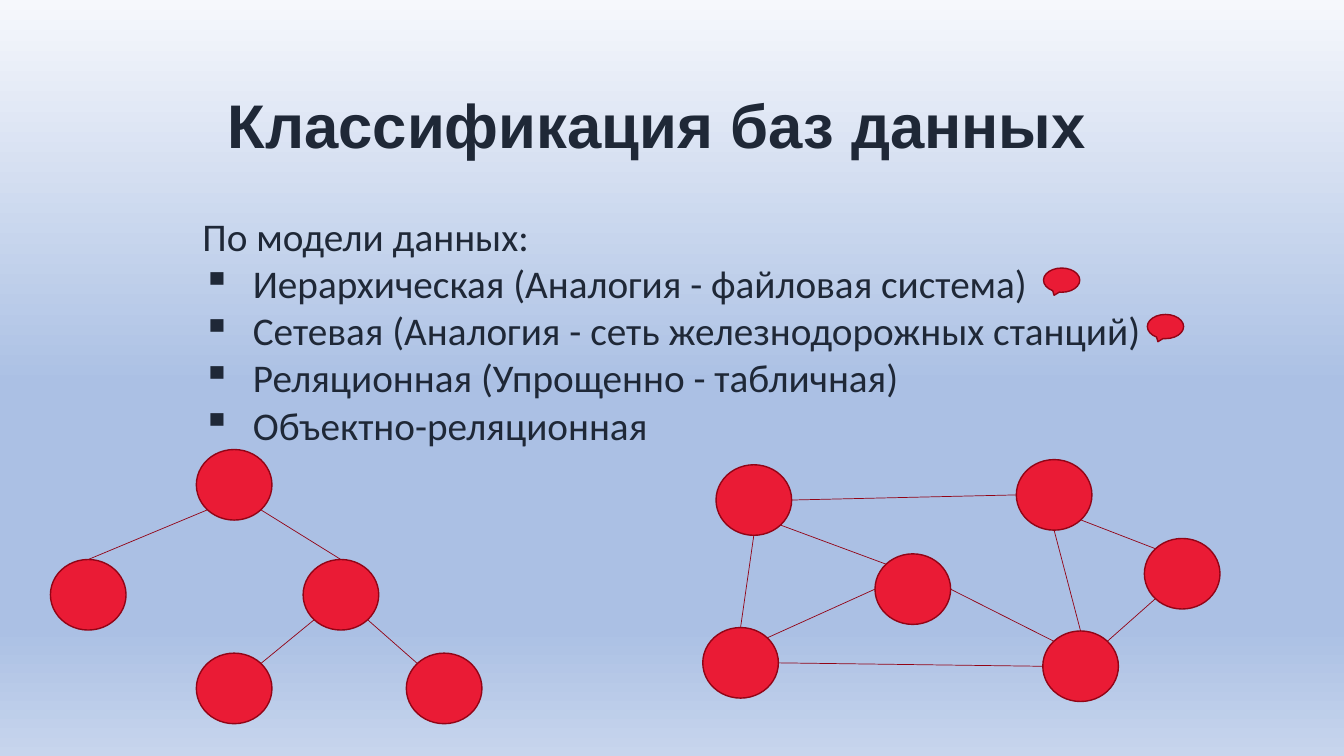
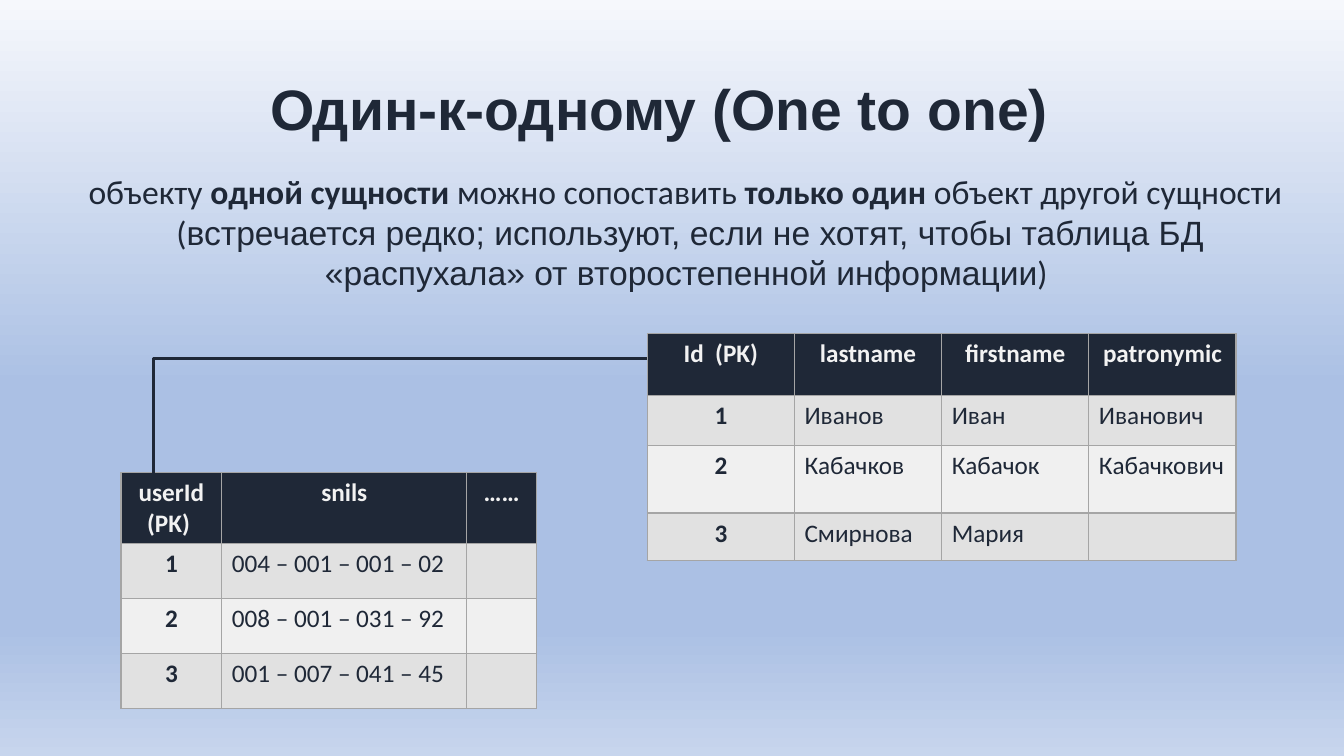
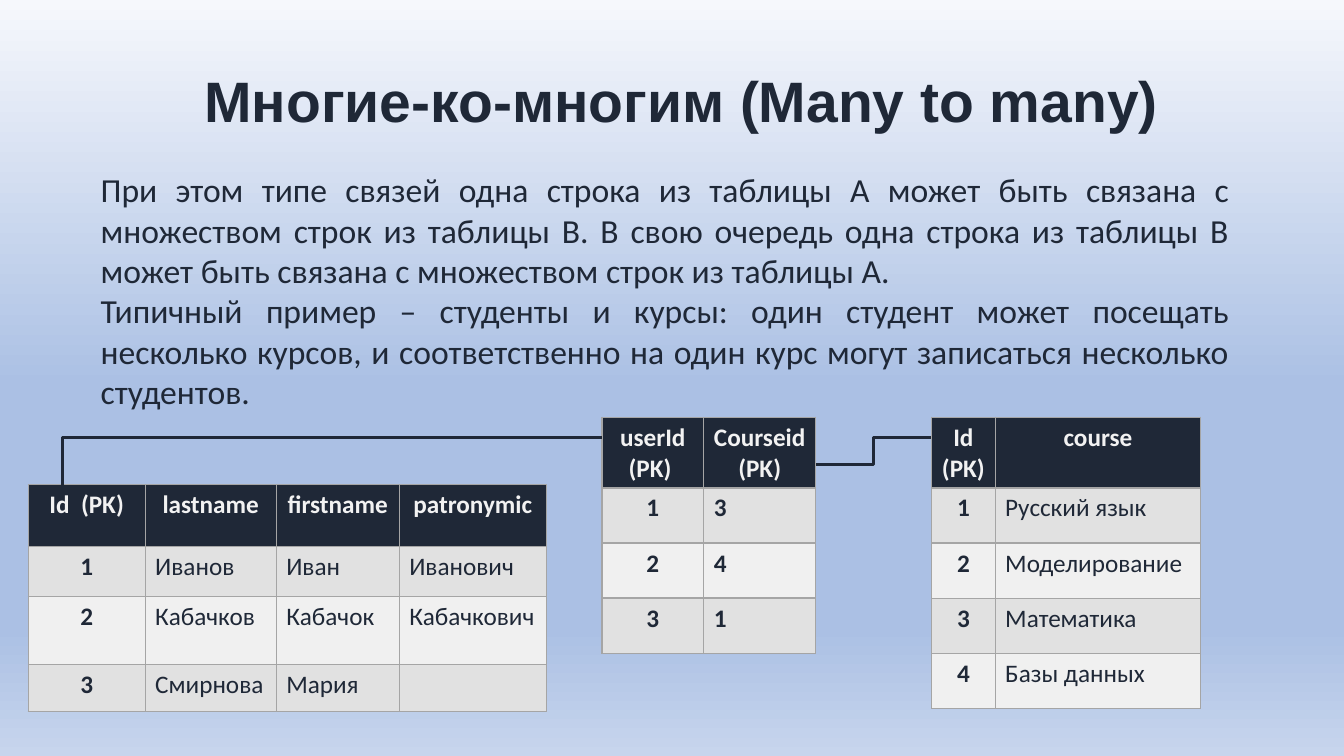
from lxml import etree
from pptx import Presentation
from pptx.dml.color import RGBColor
from pptx.enum.shapes import MSO_CONNECTOR, MSO_SHAPE
from pptx.enum.text import MSO_ANCHOR, PP_ALIGN
from pptx.oxml.ns import qn
from pptx.util import Inches, Pt

STRAIGHT, ELBOW = MSO_CONNECTOR.STRAIGHT, MSO_CONNECTOR.ELBOW
NODE, CALLOUT = MSO_SHAPE.FLOWCHART_CONNECTOR, MSO_SHAPE.OVAL_CALLOUT
CENTER, JUSTIFY, LEFT = PP_ALIGN.CENTER, PP_ALIGN.JUSTIFY, PP_ALIGN.LEFT
MIDDLE, TOP = MSO_ANCHOR.MIDDLE, MSO_ANCHOR.TOP

SLIDE_W, SLIDE_H = 13.33, 7.5
DARK, LIGHT, GRID = "1F2837", "F2F2F2", "A5A5A5"
BANDS = ("E1E1E1", "F0F0F0")
RED, DARK_RED = "EA1B35", "920416"
BACKGROUND = ((0, "F6F8FC"), (51, "ABC0E4"), (83, "ABC0E4"), (100, "C7D5ED"))
HEAD_FONT, BODY_FONT = "Arial", "Calibri"

NODE_W, NODE_H = 0.75, 0.7
DIAGONAL = 0.71
SITES = {"N": (0, -1), "S": (0, 1), "W": (-1, 0), "E": (1, 0)}
SITES.update({v + h: (SITES[h][0] * DIAGONAL, SITES[v][1] * DIAGONAL)
              for v in "NS" for h in "WE"})

PEOPLE = [["Id  (PK)", "lastname", "firstname", "patronymic"],
          ["1", "Иванов", "Иван", "Иванович"],
          ["2", "Кабачков", "Кабачок", "Кабачкович"],
          ["3", "Смирнова", "Мария", ""]]
PEOPLE_ROWS = [0.61, 0.5, 0.67, 0.47]
SNILS = [["userId (PK) ", "snils", "……"],
         ["1", "004 – 001 – 001 – 02", ""],
         ["2", "008 – 001 – 031 – 92", ""],
         ["3", "001 – 007 – 041 – 45", ""]]
ENROLMENT = [["userId (PK) ", "Courseid (PK)"], ["1", "3"], ["2", "4"], ["3", "1"]]
COURSES = [["Id (PK) ", "course"], ["1", "Русский язык"], ["2", "Моделирование"],
           ["3", "Математика"], ["4", "Базы данных"]]


def rgb(value):
    return RGBColor.from_string(value)


def sub(parent, tag, **attrs):
    return etree.SubElement(parent, qn(tag), attrs)


def set_background(master):
    """Fill the master with the vertical gradient every slide inherits."""
    master.background.fill.gradient()
    grad = master.element.find(".//" + qn("a:gradFill"))
    for child in list(grad):
        grad.remove(child)
    stops = sub(grad, "a:gsLst")
    for share, color in BACKGROUND:
        stop = sub(stops, "a:gs", pos=str(share * 1000))
        sub(stop, "a:srgbClr", val=color)
    sub(grad, "a:lin", ang="5400000", scaled="0")


def add_run(p, text, size, color=DARK, bold=False, font=BODY_FONT):
    r = p.add_run()
    r.text = text
    r.font.size, r.font.bold, r.font.name = Pt(size), bold, font
    r.font.color.rgb = rgb(color)


def add_bullet(p):
    pPr = p._p.get_or_add_pPr()
    pPr.set("marL", str(Inches(0.5)))
    pPr.set("indent", str(-Inches(0.5)))
    sub(pPr, "a:buChar", char="▪")


def add_text(s, box, paragraphs, size, anchor=TOP, spacing=None):
    """Each paragraph is (alignment, bulleted, [(text, bold, font), ...])."""
    tf = s.shapes.add_textbox(*map(Inches, box)).text_frame
    tf.word_wrap, tf.vertical_anchor = True, anchor
    for i, (align, bulleted, runs) in enumerate(paragraphs):
        p = tf.add_paragraph() if i else tf.paragraphs[0]
        p.alignment = align
        if spacing:
            p.line_spacing = spacing
        if bulleted:
            add_bullet(p)
        for text, bold, font in runs:
            add_run(p, text, size, bold=bold, font=font)


def plain(text, bulleted=False):
    return JUSTIFY, bulleted, [(text, False, BODY_FONT)]


def add_title(s, box, text, size=40.7):
    add_text(s, box, [(LEFT, False, [(text, True, HEAD_FONT)])], size, MIDDLE, 0.9)


def add_red_shape(shapes, kind, x, y, w, h):
    sp = shapes.add_shape(kind, *map(Inches, (x, y, w, h)))
    sp.shadow.inherit = False
    sp.fill.solid()
    sp.fill.fore_color.rgb = rgb(RED)
    sp.line.color.rgb = rgb(DARK_RED)
    sp.line.width = Pt(1)


def add_line(shapes, kind, start, end, color, width):
    line = shapes.add_connector(kind, *map(Inches, (*start, *end)))
    line.line.color.rgb = rgb(color)
    line.line.width = Pt(width)
    sub(line._element.spPr, "a:effectLst")
    return line


def add_relation(s, start, end, bend):
    """Elbow line that turns at the given share of its width."""
    line = add_line(s.shapes, ELBOW, start, end, DARK, 2.25)
    geom = line._element.spPr.find(qn("a:prstGeom"))
    guides = geom.find(qn("a:avLst"))
    if guides is None:
        guides = sub(geom, "a:avLst")
    sub(guides, "a:gd", name="adj1", fmla=f"val {round(bend * 100000)}")


def add_graph(s, box, nodes, edges):
    """Nodes are shares of the room in the box; edges join compass sites."""
    x, y, w, h = box
    shapes = s.shapes.add_group_shape().shapes
    places = {name: (x + fx * (w - NODE_W), y + fy * (h - NODE_H))
              for name, (fx, fy) in nodes.items()}

    def site(name, side):
        left, top = places[name]
        dx, dy = SITES[side]
        return left + NODE_W * (1 + dx) / 2, top + NODE_H * (1 + dy) / 2

    for left, top in places.values():
        add_red_shape(shapes, NODE, left, top, NODE_W, NODE_H)
    for a, a_side, b, b_side in edges:
        add_line(shapes, STRAIGHT, site(a, a_side), site(b, b_side), DARK_RED, 0.5)


def set_borders(cell):
    tcPr = cell._tc.get_or_add_tcPr()
    for i, tag in enumerate(("a:lnL", "a:lnR", "a:lnT", "a:lnB")):
        ln = etree.Element(qn(tag), w=str(Pt(1)))
        sub(sub(ln, "a:solidFill"), "a:srgbClr", val=GRID)
        tcPr.insert(i, ln)


def even_rows(height, count, header=0.69):
    return [header] + [(height - header) / (count - 1)] * (count - 1)


def add_data_table(s, x, y, cols, rows, data, all_bold=False):
    table = s.shapes.add_table(len(rows), len(cols), Inches(x), Inches(y),
                               Inches(sum(cols)), Inches(sum(rows))).table
    for column, width in zip(table.columns, cols):
        column.width = Inches(width)
    for row, height in zip(table.rows, rows):
        row.height = Inches(height)
    for i, values in enumerate(data):
        for j, text in enumerate(values):
            cell = table.cell(i, j)
            cell.fill.solid()
            cell.fill.fore_color.rgb = rgb(BANDS[(i - 1) % 2] if i else DARK)
            set_borders(cell)
            p = cell.text_frame.paragraphs[0]
            key = i == 0 or j == 0
            p.alignment = CENTER if key else LEFT
            if text:
                add_run(p, text, 18, DARK if i else LIGHT, key or all_bold)


def classification_slide(s):
    add_title(s, (2.16, 0.74, 9.01, 1.07), "Классификация баз данных", 44)
    models = ["Иерархическая (Аналогия - файловая система)",
              "Сетевая (Аналогия - сеть железнодорожных станций)",
              "Реляционная (Упрощенно - табличная)",
              "Объектно-реляционная"]
    add_text(s, (1.91, 2.06, 9.92, 3.4),
             [plain("По модели данных:")] + [plain(m, True) for m in models], 28)
    for x, y in ((10.35, 2.66), (11.38, 3.12)):
        add_red_shape(s.shapes, CALLOUT, x, y, 0.36, 0.24)
    add_graph(s, (0.5, 4.46, 4.28, 2.72),
              {"root": (0.41, 0), "left": (0, 0.54), "right": (0.71, 0.54),
               "leaf 1": (0.41, 1), "leaf 2": (1, 1)},
              [("root", "SW", "left", "N"), ("root", "SE", "right", "N"),
               ("right", "SW", "leaf 1", "NE"), ("right", "SE", "leaf 2", "NW")])
    add_graph(s, (6.97, 4.56, 5.13, 2.4),
              {"hub": (0.39, 0.55), "top left": (0.03, 0.03),
               "low left": (0, 0.98), "top right": (0.71, 0),
               "low right": (0.77, 1), "far right": (1, 0.46)},
              [("top right", "SE", "far right", "NW"),
               ("top left", "E", "top right", "W"),
               ("top left", "SE", "hub", "NW"),
               ("top left", "S", "low left", "N"),
               ("hub", "E", "low right", "NW"),
               ("far right", "SW", "low right", "NE"),
               ("low left", "E", "low right", "W"),
               ("top right", "S", "low right", "N"),
               ("low left", "NE", "hub", "W")])


def one_to_one_slide(s):
    add_title(s, (2.58, 0.58, 8.16, 1.07), "Один-к-одному (One to one)")
    rule = [("объекту ", False, BODY_FONT), ("одной сущности ", True, BODY_FONT),
            ("можно сопоставить ", False, BODY_FONT),
            ("только один ", True, BODY_FONT),
            ("объект другой сущности", False, BODY_FONT)]
    remark = [("(", False, BODY_FONT),
              ("встречается редко; используют, если не хотят, чтобы таблица БД "
               "«распухала» от второстепенной информации", False, HEAD_FONT),
              (") ", False, BODY_FONT)]
    add_text(s, (0.78, 1.65, 12.13, 1.31),
             [(JUSTIFY, False, rule), (CENTER, False, remark)], 24)
    add_data_table(s, 6.42, 3.31, [1.46] * 4, PEOPLE_ROWS, PEOPLE)
    add_data_table(s, 1.2, 4.69, [1, 2.43, 0.69], even_rows(2.33, 4), SNILS)
    add_relation(s, (6.42, 3.56), (1.52, 4.69), 1)


def many_to_many_slide(s):
    add_title(s, (1.93, 0.5, 9.83, 1.07), "Многие-ко-многим (Many to many)")
    add_text(s, (0.9, 1.63, 11.39, 2.52), [
        plain("При этом типе связей одна строка из таблицы А может быть связана с "
              "множеством строк из таблицы В. В свою очередь одна строка из таблицы В "
              "может быть связана с множеством строк из таблицы А."),
        plain("Типичный пример – студенты и курсы: один студент может посещать "
              "несколько курсов, и соответственно на один курс могут записаться "
              "несколько студентов.")], 24)
    add_data_table(s, 0.28, 4.81, [1.16, 1.3, 1.22, 1.46], PEOPLE_ROWS, PEOPLE)
    add_data_table(s, 5.97, 4.14, [1.01, 1.11], even_rows(2.33, 4), ENROLMENT, True)
    add_data_table(s, 9.24, 4.14, [0.63, 2.04], even_rows(2.88, 5), COURSES)
    add_relation(s, (5.97, 4.34), (0.62, 4.81), 1)
    add_relation(s, (9.23, 4.34), (8.09, 4.61), 0.5)


def main():
    prs = Presentation()
    prs.slide_width, prs.slide_height = Inches(SLIDE_W), Inches(SLIDE_H)
    set_background(prs.slide_master)
    for build in (classification_slide, one_to_one_slide, many_to_many_slide):
        build(prs.slides.add_slide(prs.slide_layouts[6]))
    prs.save("out.pptx")


if __name__ == "__main__":
    main()
